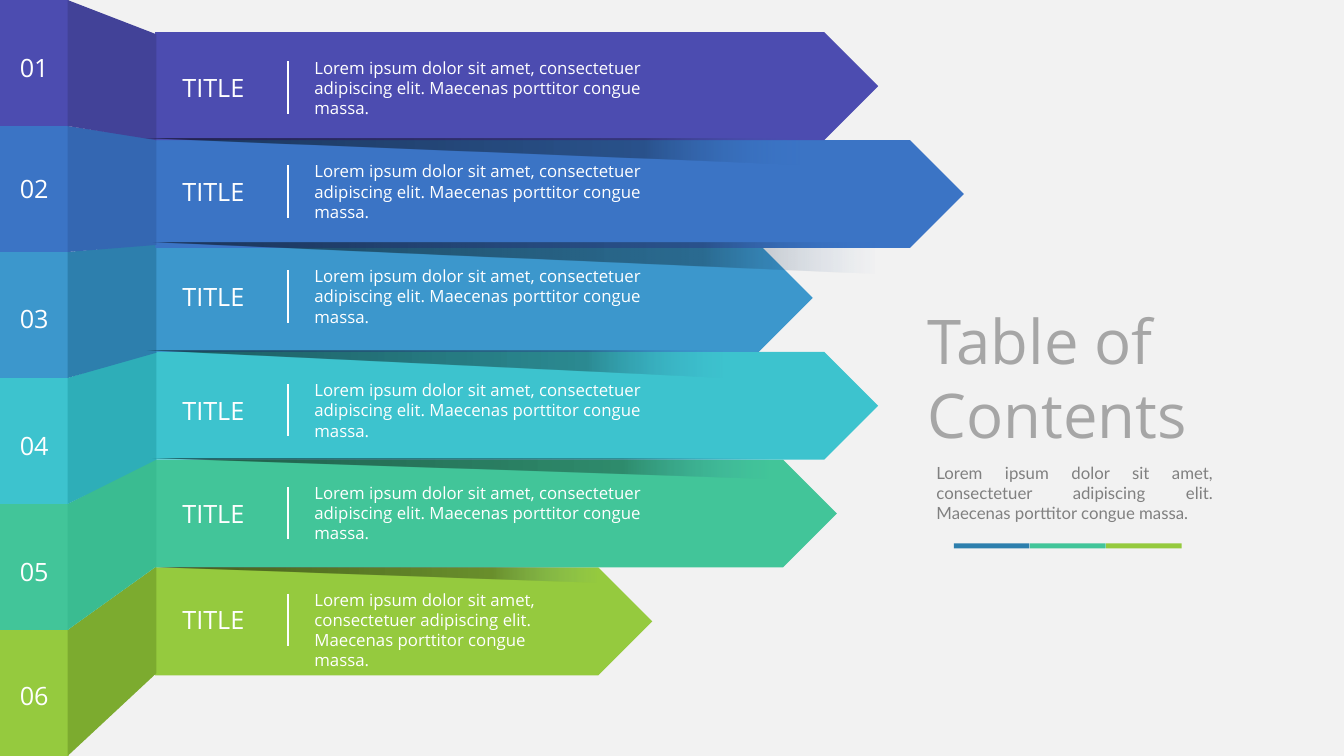
from dataclasses import dataclass

from lxml import etree
from pptx import Presentation
from pptx import util as u
from pptx.dml.color import RGBColor
from pptx.enum import shapes, text
from pptx.oxml import ns

HEAD = "Table of Contents"
LOREM = ("Lorem ipsum dolor sit amet, consectetuer adipiscing elit. "
         "Maecenas porttitor congue massa.")

# fill, fold fill, number top, arrow (top, width), fold right edge (top, bottom),
# title top, body (width, height), shadow (left, top, width, height)
BANDS = [
    ("4C4CB0", "424298", 0.47, (0.32, 7.17), (0.34, 1.39), 0.67, (3.5, 0.71),
     (1.42, 1.38, 6.52, 0.25)),
    ("3B74C5", "3467B2", 1.67, (1.39, 8.02), (1.38, 2.43), 1.7, (3.5, 0.71),
     (1.51, 2.41, 7.17, 0.3)),
    ("3C97CC", "2D7FAD", 2.96, (2.42, 6.52), (2.42, 3.5), 2.74, (3.5, 0.71),
     (1.45, 3.48, 5.73, 0.27)),
    ("3DC3CE", "2EAEB8", 4.22, (3.49, 7.17), (3.48, 4.56), 3.87, (3.5, 0.71),
     (1.5, 4.55, 6.13, 0.2)),
    ("42C599", "3ABC91", 5.47, (4.56, 6.76), (4.54, 5.62), 4.89, (3.5, 0.71),
     (1.54, 5.63, 4.39, 0.15)),
    ("95CA3E", "7CAB2F", 6.7, (5.63, 4.93), (5.62, 6.68), 5.95, (2.46, 0.91),
     None),
]
STRIPES = ["2D7FAD", "42C599", "95CA3E"]
FADE = [(1, "000000", 54), (76, "000000", 29), (100, "3B74C5", 0)]


@dataclass(frozen=True)
class Theme:
    back: str = "F2F2F2"
    white: str = "FFFFFF"
    head: str = "A6A6A6"
    note: str = "808080"
    font: str = "Open Sans"
    serif: str = "Lato"
    big: int = 44
    mid: int = 18
    small: int = 12


T = Theme()
LEFT, MID = text.PP_ALIGN.LEFT, text.PP_ALIGN.CENTER
KIND = shapes.MSO_SHAPE
TAB_W, TAB_H = 0.68, 1.25
FOLD_L, FOLD_R = 0.67, 1.55


def inches(*sizes):
    return [u.Inches(s) for s in sizes]


def write(box, words, size=T.small, color=T.white, font=T.font, align=LEFT):
    frame = box.text_frame
    frame.word_wrap = True
    frame.auto_size = text.MSO_AUTO_SIZE.SHAPE_TO_FIT_TEXT
    frame.vertical_anchor = text.MSO_ANCHOR.TOP
    para = frame.paragraphs[0]
    para.alignment = align
    run = para.add_run()
    run.text = words
    run.font.size = u.Pt(size)
    run.font.name = font
    run.font.color.rgb = RGBColor.from_string(color)


def label(home, place, words, **form):
    write(home.add_textbox(*inches(*place)), words, **form)


def paint(shape, color):
    shape.fill.solid()
    shape.fill.fore_color.rgb = RGBColor.from_string(color)
    shape.line.fill.background()
    shape.shadow.inherit = False


def block(home, kind, place, color):
    shape = home.add_shape(kind, *inches(*place))
    paint(shape, color)
    return shape


def fold(home, points, color):
    start, *rest = [inches(*p) for p in points]
    pen = home.build_freeform(*start)
    pen.add_line_segments(rest, close=True)
    paint(pen.convert_to_shape(), color)


def shade(home, place):
    """Cast a wedge of shadow that fades out to the right."""
    wedge = block(home, KIND.RIGHT_TRIANGLE, place, "000000")
    props = wedge.element.spPr
    frame = props.find(ns.qn("a:xfrm"))
    frame.set("flipH", "1")
    frame.set("flipV", "1")
    grad = etree.Element(ns.qn("a:gradFill"), rotWithShape="1")
    stops = etree.SubElement(grad, ns.qn("a:gsLst"))
    for spot, color, alpha in FADE:
        stop = etree.SubElement(stops, ns.qn("a:gs"), pos=str(spot * 1000))
        tint = etree.SubElement(stop, ns.qn("a:srgbClr"), val=color)
        etree.SubElement(tint, ns.qn("a:alpha"), val=str(alpha * 1000))
    etree.SubElement(grad, ns.qn("a:lin"), ang=str(180 * 60000), scaled="0")
    props.replace(props.find(ns.qn("a:solidFill")), grad)


def rule(home, x, top, tall):
    line = home.add_connector(shapes.MSO_CONNECTOR.STRAIGHT,
                              *inches(x, top, x, top + tall))
    line.line.color.rgb = RGBColor.from_string(T.white)
    line.line.width = u.Pt(1.5)
    etree.SubElement(line.element.spPr, ns.qn("a:effectLst"))


def band(slide, index):
    fill, dark, num, (top, wide), (high, low), title, body, cast = BANDS[index]
    home = slide.shapes.add_group_shape().shapes
    edge = index * TAB_H
    block(home, KIND.RECTANGLE, (0, edge, TAB_W, TAB_H), fill)
    block(home, KIND.PENTAGON, (1.54, top, wide, 1.07), fill)
    fold(home, [(FOLD_L, edge), (FOLD_R, high), (FOLD_R, low),
                (FOLD_L, edge + TAB_H)], dark)
    if cast:
        shade(home, cast)
    label(home, (0.04, num, 0.6, 0.4), f"{index + 1:02}", size=T.mid, align=MID)
    label(home, (1.71, title, 1.08, 0.4), "TITLE", size=T.mid)
    label(home, (3.02, title - 0.15, *body), LOREM)
    rule(home, 2.86, title - 0.06, 0.52)


def main():
    deck = Presentation()
    deck.slide_width, deck.slide_height = inches(13.33, 7.5)
    slide = deck.slides.add_slide(deck.slide_layouts[5])
    slide.background.fill.solid()
    slide.background.fill.fore_color.rgb = RGBColor.from_string(T.back)

    # Lower bands go first so that each shadow falls on the band below
    for index in reversed(range(len(BANDS))):
        band(slide, index)

    head = slide.shapes.title
    head.left, head.top, head.width, head.height = inches(9.1, 2.96, 3.61, 1.58)
    write(head, HEAD, size=T.big, color=T.head)
    label(slide.shapes, (9.19, 4.54, 2.94, 0.71), LOREM, color=T.note,
          font=T.serif, align=text.PP_ALIGN.JUSTIFY)
    home = slide.shapes.add_group_shape().shapes
    for step, color in enumerate(STRIPES):
        block(home, KIND.RECTANGLE, (9.46 + step * 0.755, 5.39, 0.75, 0.05), color)
    deck.save("out.pptx")


if __name__ == "__main__":
    main()
